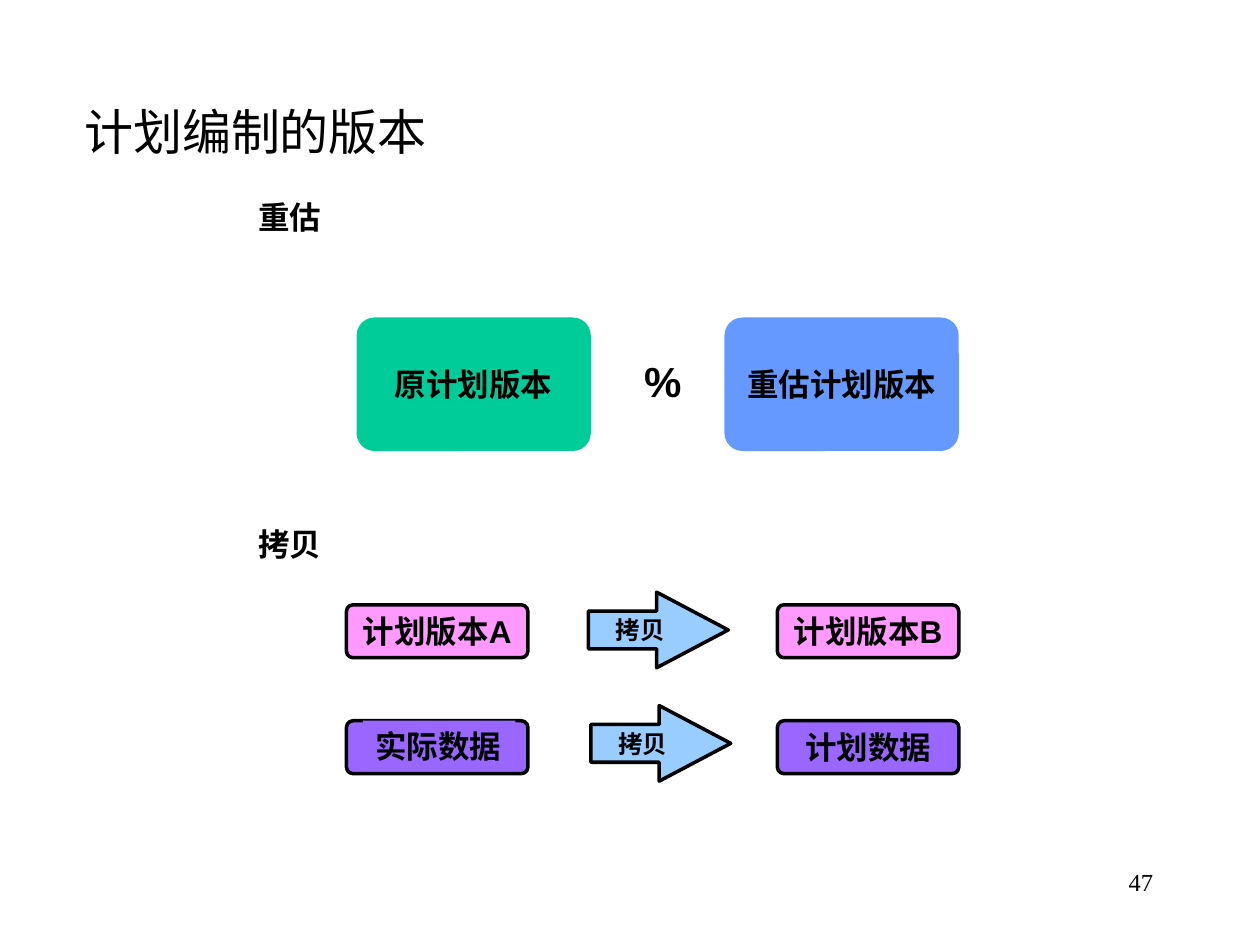
from pptx import Presentation
from pptx.dml.color import RGBColor
from pptx.enum.shapes import MSO_SHAPE
from pptx.enum.text import MSO_ANCHOR, PP_ALIGN
from pptx.util import Inches, Pt

UNIT = 0.1  # inches per grid column and row: 100 columns by 75 rows


def color(hex_value):
    return RGBColor.from_string(hex_value)


class SlideBuilder:
    """Holds the style and the current page; places are (column, row, width, height)."""
    font = "Arial"
    serif = "Times New Roman"
    ink = "000000"
    line_width = 2

    def __init__(self, page):
        self.page = page

    def place(self, area):
        return [Inches(value * UNIT) for value in area]

    def set_text(self, shape, text, size, bold=True, font=None,
                 align=PP_ALIGN.CENTER, anchor=MSO_ANCHOR.MIDDLE, wrap=False):
        frame = shape.text_frame
        frame.text = text
        frame.word_wrap = wrap
        frame.vertical_anchor = anchor
        paragraph = frame.paragraphs[0]
        paragraph.alignment = align
        for span in paragraph.runs:
            span.font.name = font or self.font
            span.font.size = Pt(size)
            span.font.bold = bold
            span.font.color.rgb = color(self.ink)

    def label(self, area, text, size=18, **style):
        box = self.page.shapes.add_textbox(*self.place(area))
        self.set_text(box, text, size, **{"anchor": MSO_ANCHOR.TOP, **style})

    def block(self, kind, area, fill, text="", size=18, adjust=(), outlined=True, **style):
        shape = self.page.shapes.add_shape(kind, *self.place(area))
        shape.shadow.inherit = False
        for index, value in enumerate(adjust):
            shape.adjustments[index] = value
        shape.fill.solid()
        shape.fill.fore_color.rgb = color(fill)
        if outlined:
            shape.line.color.rgb = color(self.ink)
            shape.line.width = Pt(self.line_width)
        else:
            shape.line.fill.background()
        if text:
            self.set_text(shape, text, size, **style)

    def version(self, column, fill, text):
        self.block(MSO_SHAPE.ROUNDED_RECTANGLE, (column, 25.2, 18.6, 10.6), fill, text,
                   adjust=[0.135], outlined=False)

    def data_box(self, column, row, fill, text=""):
        self.block(MSO_SHAPE.ROUNDED_RECTANGLE, (column, row, 14.4, 4.2), fill, text,
                   adjust=[0.125])

    def copy_arrow(self, column, row):
        self.block(MSO_SHAPE.RIGHT_ARROW, (column, row, 11.1, 6), "99CCFF", "拷贝",
                   size=14, adjust=[0.5, 0.947])


def main():
    deck = Presentation()
    deck.slide_width, deck.slide_height = Inches(10), Inches(7.5)
    slide = SlideBuilder(deck.slides.add_slide(deck.slide_layouts[6]))
    pink, purple = "FF99FF", "9966FF"
    source_column, target_column = 27.5, 61.7

    slide.label((5.7, 6.6, 38.9, 7.6), "计划编制的版本", 28, bold=False, font=slide.serif,
                align=PP_ALIGN.LEFT, anchor=MSO_ANCHOR.MIDDLE, wrap=True)

    for row, heading in ((15.2, "重估"), (41.2, "拷贝")):
        slide.label((19.5, row, 7, 4), heading)

    slide.version(28.3, "00CC99", "原计划版本")
    slide.version(57.5, "6699FF", "重估计划版本")
    slide.label((50, 27.7, 5.2, 5), "%", 24)

    slide.data_box(source_column, 48, pink, "计划版本A")
    slide.copy_arrow(46.7, 47)
    slide.data_box(target_column, 48, pink, "计划版本B")

    slide.data_box(source_column, 57.2, purple)
    slide.data_box(target_column, 57.2, purple, "计划数据")
    slide.block(MSO_SHAPE.RECTANGLE, (28.8, 57.2, 12.1, 4), purple, "实际数据",
                outlined=False, font=slide.serif, align=PP_ALIGN.LEFT,
                anchor=MSO_ANCHOR.TOP)
    slide.copy_arrow(46.9, 56)

    slide.label((71.7, 68.3, 20.8, 5), "47", 14, bold=False, font=slide.serif,
                align=PP_ALIGN.RIGHT, wrap=True)
    deck.save("out.pptx")


if __name__ == "__main__":
    main()
